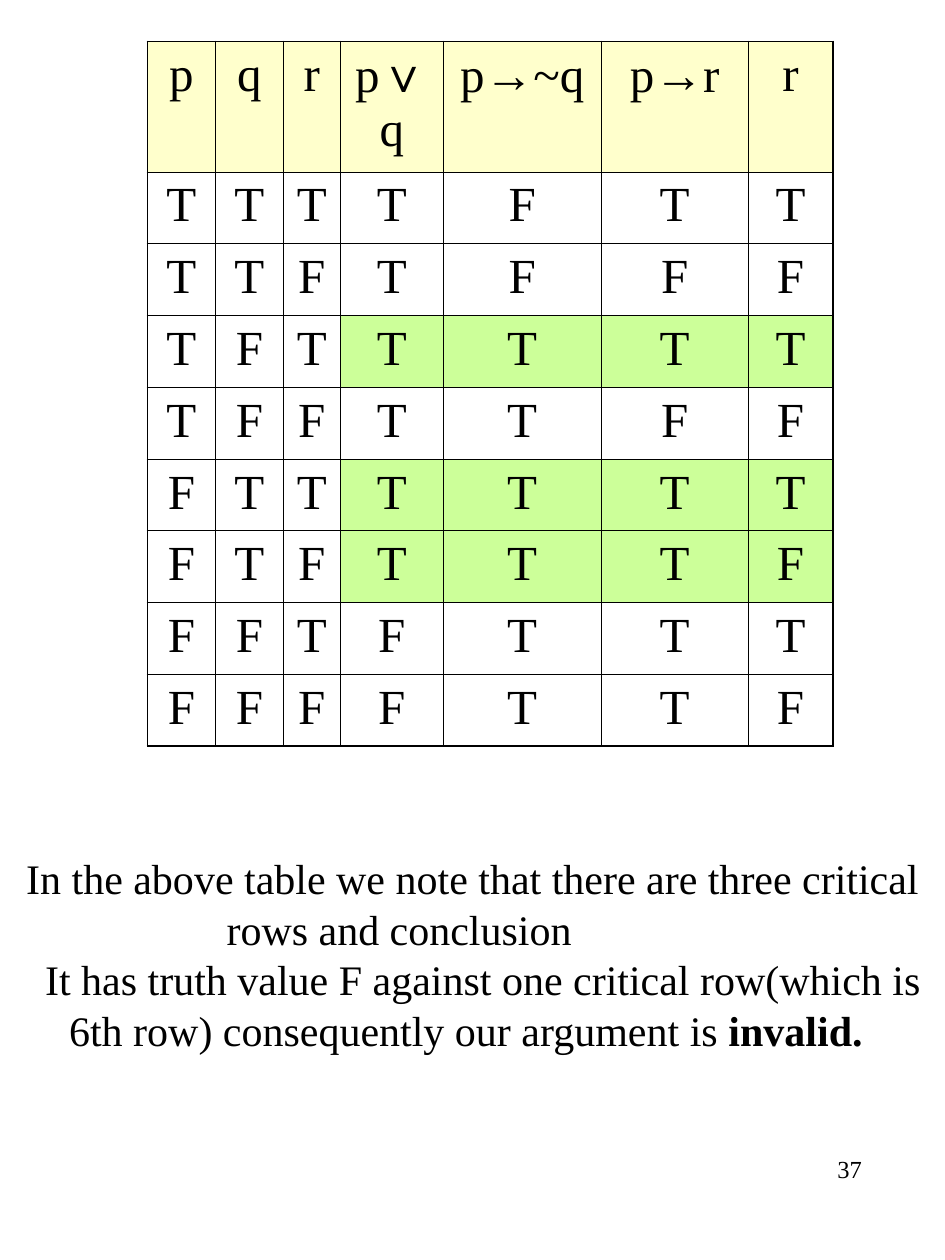
from pptx import Presentation, util as u
from pptx.dml.color import RGBColor
from pptx.enum import text
from pptx.oxml.ns import qn
from lxml import etree

BLACK = RGBColor(0x00, 0x00, 0x00)
CREAM = RGBColor(0xFF, 0xFF, 0xCC)
GREEN = RGBColor(0xCC, 0xFF, 0x99)
SERIF, SANS = "Times New Roman", "Arial"
THIN, THICK = 0.45, 1.08
SYMBOLS = "∨→"

HEADERS = ["p", "q", "r", "p∨q", "p→~q", "p→r", "r"]
TRUTH_ROWS = ["TTTTFTT", "TTFTFFF", "TFTTTTT", "TFFTTFF",
              "FTTTTTT", "FTFTTTF", "FFTFTTT", "FFFFTTF"]
CRITICAL_ROWS = {3, 5, 6}
FIRST_PREMISE = 3
COL_WIDTHS = [0.54, 0.54, 0.45, 0.82, 1.25, 1.17, 0.67]
HEADER_H, ROW_H = 0.96, 0.57


def add_run(p, words, size=24, font=SERIF, bold=False, color=BLACK):
    r = p.add_run()
    r.text = words
    r.font.name, r.font.size = font, u.Pt(size)
    r.font.bold = bold
    r.font.color.rgb = color


def add_formula(p, formula, **fmt):
    """Write a formula, with its logic symbols in the sans font."""
    part = ""
    for ch in formula:
        if ch in SYMBOLS:
            add_run(p, part, **fmt)
            add_run(p, ch, font=SANS, **fmt)
            part = ""
        else:
            part += ch
    add_run(p, part, **fmt)


class Deck:
    def __init__(self, prs):
        self.s = prs.slides.add_slide(prs.slide_layouts[6])

    def textbox(self, x, y, w, h, anchor=text.MSO_ANCHOR.TOP, bottom=0.05):
        sp = self.s.shapes.add_textbox(*map(u.Inches, (x, y, w, h)))
        tf = sp.text_frame
        tf.word_wrap = True
        tf.vertical_anchor = anchor
        tf.margin_bottom = u.Inches(bottom)
        return tf

    def paragraph(self, p, runs, first, rest):
        """Fill a paragraph whose first and later lines start at set indents."""
        p.line_spacing = u.Pt(28.8)
        pPr = p._p.get_or_add_pPr()
        pPr.set("marL", str(u.Inches(rest)))
        pPr.set("indent", str(u.Inches(first) - u.Inches(rest)))
        for words, bold in runs:
            add_run(p, words, bold=bold)

    def borders(self, cell, **widths):
        tcPr = cell._tc.get_or_add_tcPr()
        for side in "LRTB":
            ln = etree.SubElement(tcPr, qn(f"a:ln{side}"), w=str(u.Pt(widths[side])))
            fill = etree.SubElement(ln, qn("a:solidFill"))
            etree.SubElement(fill, qn("a:srgbClr"), val=str(BLACK))

    def truth_table(self, x, y):
        rows = [HEADERS, *TRUTH_ROWS]
        last_row, last_col = len(rows) - 1, len(HEADERS) - 1
        height = HEADER_H + ROW_H * last_row
        frame = self.s.shapes.add_table(
            len(rows), len(HEADERS), u.Inches(x), u.Inches(y),
            u.Inches(sum(COL_WIDTHS)), u.Inches(height))
        table = frame.table
        table.first_row = table.horz_banding = False
        for col, width in zip(table.columns, COL_WIDTHS):
            col.width = u.Inches(width)
        for i, values in enumerate(rows):
            table.rows[i].height = u.Inches(ROW_H if i else HEADER_H)
            for j, value in enumerate(values):
                cell = table.cell(i, j)
                self.borders(cell, L=THIN if j else THICK,
                             R=THICK if j == last_col else THIN,
                             T=THIN if i else THICK,
                             B=THICK if i == last_row else THIN)
                if i == 0:
                    color = CREAM
                elif i in CRITICAL_ROWS and j >= FIRST_PREMISE:
                    color = GREEN
                else:
                    color = None
                if color is None:
                    cell.fill.background()
                else:
                    cell.fill.solid()
                    cell.fill.fore_color.rgb = color
                p = cell.text_frame.paragraphs[0]
                p.alignment = text.PP_ALIGN.CENTER
                p.space_before = u.Pt(7)
                add_formula(p, value, size=28)


def main():
    prs = Presentation()
    prs.slide_width, prs.slide_height = u.Inches(7.5), u.Inches(10)
    deck = Deck(prs)

    # Page number
    p = deck.textbox(5.38, 9.11, 1.56, 0.67).paragraphs[0]
    p.alignment = text.PP_ALIGN.RIGHT
    add_run(p, "37", size=14)

    # Conclusion
    tf = deck.textbox(-0.04, 6.17, 7.5, 2.94, text.MSO_ANCHOR.MIDDLE, bottom=0.19)
    deck.paragraph(tf.paragraphs[0], [
        ("In the above table we note that there are three critical "
         "rows and conclusion", False)], first=0.15, rest=1.74)
    deck.paragraph(tf.add_paragraph(), [
        ("It has truth value F against one critical row(which is "
         "6th row) consequently our argument is ", False),
        ("invalid.", True)], first=0.3, rest=0.49)

    # Truth table
    deck.truth_table(1.17, 0.33)

    prs.save("out.pptx")


if __name__ == "__main__":
    main()
